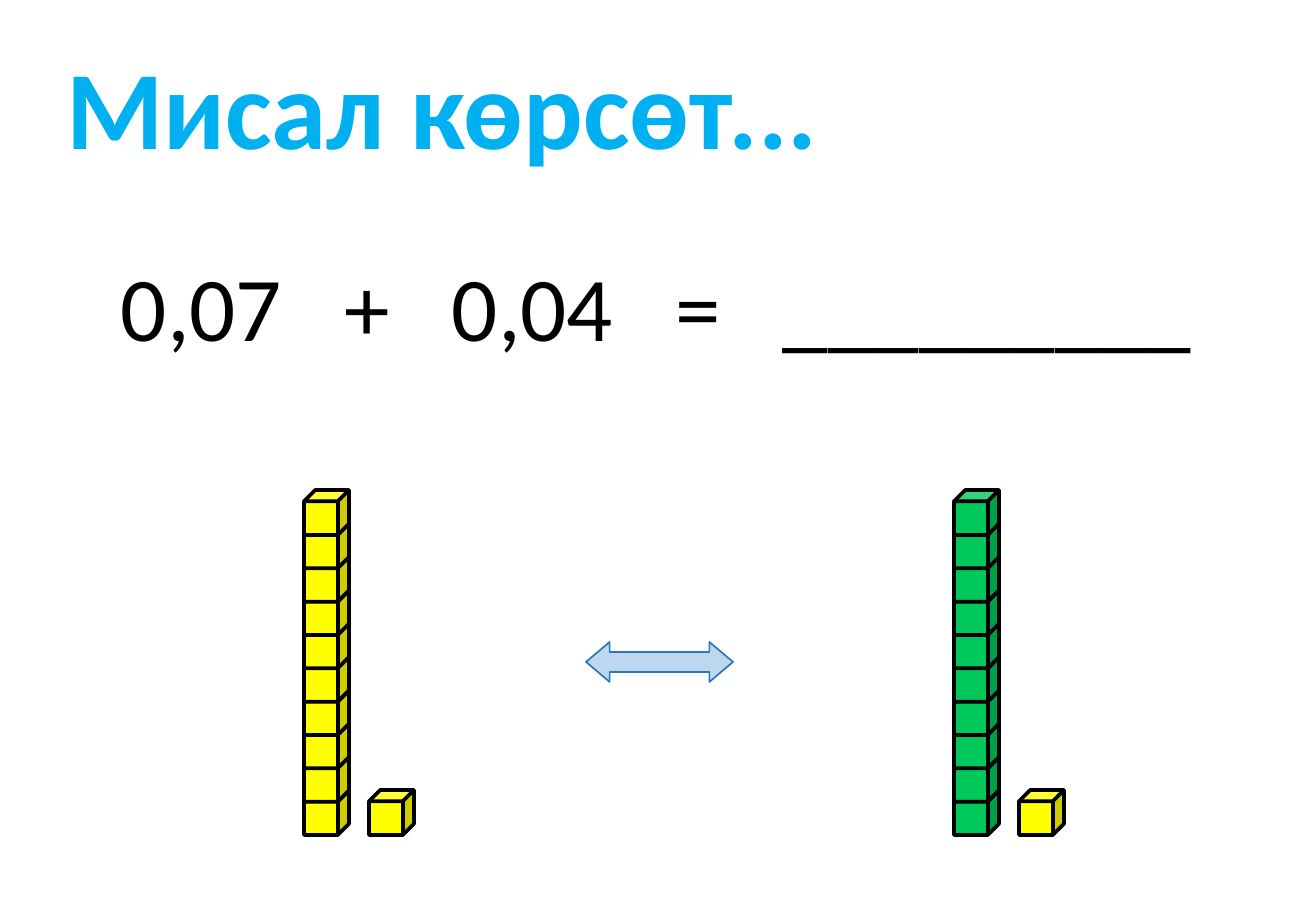
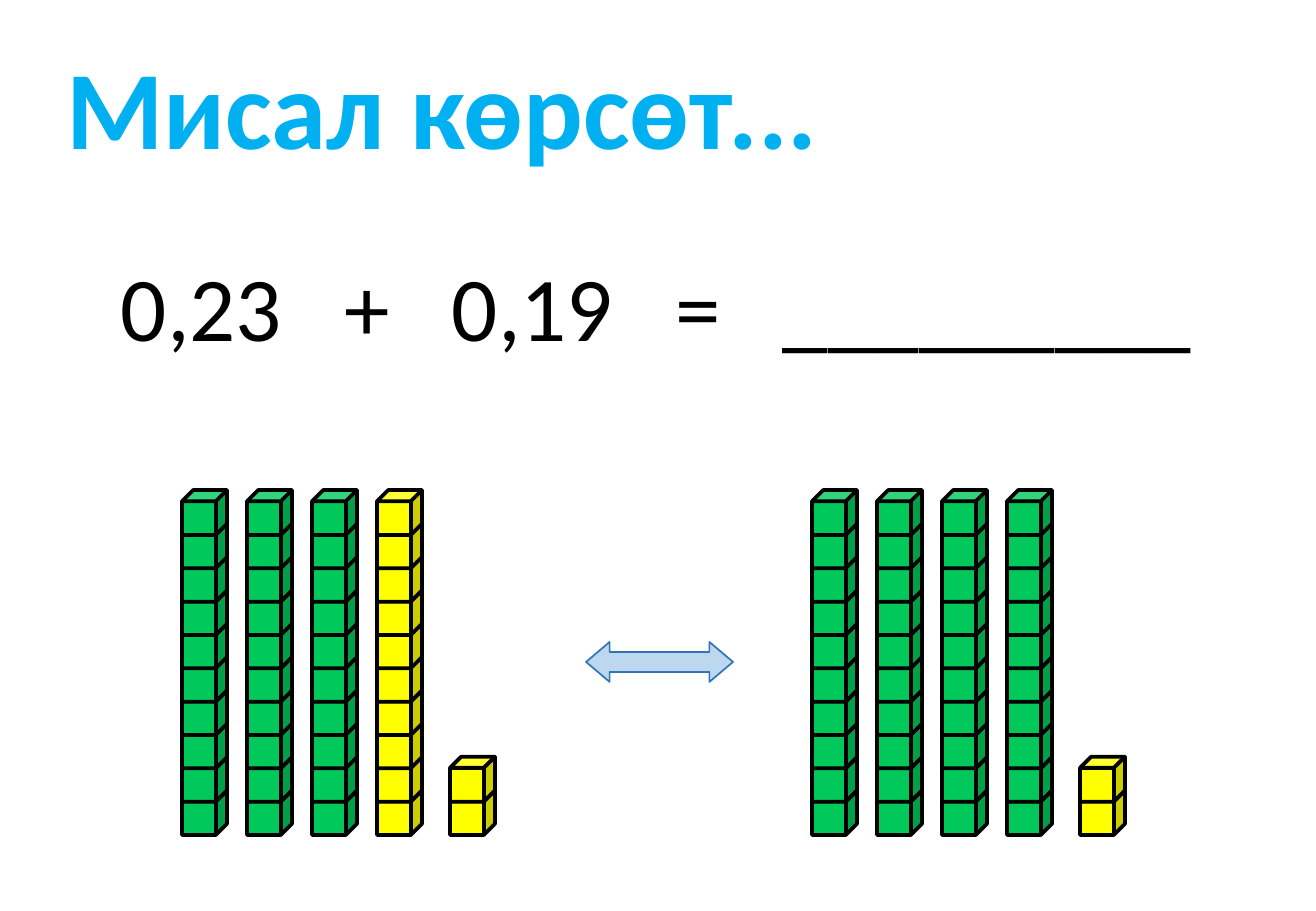
from lxml import etree
from pptx import Presentation
from pptx.dml.color import RGBColor
from pptx.enum.shapes import MSO_SHAPE
from pptx.enum.text import MSO_ANCHOR, MSO_AUTO_SIZE, PP_ALIGN
from pptx.oxml.ns import qn
from pptx.util import Pt

CUBE, ARROW = MSO_SHAPE.CUBE, MSO_SHAPE.LEFT_RIGHT_ARROW
TOP, NO_FIT, LEFT = MSO_ANCHOR.TOP, MSO_AUTO_SIZE.NONE, PP_ALIGN.LEFT

# Shared style
FONT = "Calibri"
TITLE_BLUE = RGBColor(0x00, 0xB0, 0xF0)
BLACK = RGBColor(0x00, 0x00, 0x00)
GREEN = RGBColor(0x00, 0xC8, 0x5A)
YELLOW = RGBColor(0xFF, 0xFF, 0x00)
ARROW_FILL = RGBColor(0xBD, 0xD7, 0xEE)
ARROW_LINE = RGBColor(0x2E, 0x75, 0xB6)

# Lengths in px
PX_PER_INCH = 121.5
SLIDE_W, SLIDE_H = 1316, 911
TITLE_BOX = (54, 32, 891, 147)
EQUATION_BOX = (109, 244, 1120, 123)
ARROW_BOX = (586, 642, 147, 40)
EQUATION_TABS = (224, 331, 555, 662)
BLOCKS_TOP, BLOCKS_H = 490, 345
CUBE_SIZE, ROD_PITCH, ROD_CUBES = 45, 65, 10
CUBE_STEP = (BLOCKS_H - CUBE_SIZE) / (ROD_CUBES - 1)

TITLE = "Мисал көрсөт..."


def px(n):
    return round(n * 914400 / PX_PER_INCH)


def box_emu(box):
    return [px(n) for n in box]


def write(shape, text, size, color, bold=False, tabs=()):
    tf = shape.text_frame
    tf.word_wrap = True
    tf.auto_size = NO_FIT
    tf.vertical_anchor = TOP
    p = tf.paragraphs[0]
    p.alignment = LEFT
    if tabs:
        tab_list = etree.SubElement(p._p.get_or_add_pPr(), qn("a:tabLst"))
        for pos in tabs:
            etree.SubElement(tab_list, qn("a:tab"), pos=str(px(pos)), algn="l")
    r = p.add_run()
    r.text = text
    r.font.name, r.font.size, r.font.bold = FONT, Pt(size), bold
    r.font.color.rgb = color


def add_figure(shapes, kind, box, fill, line, width):
    s = shapes.add_shape(kind, *box_emu(box))
    s.shadow.inherit = False
    s.fill.solid()
    s.fill.fore_color.rgb = fill
    s.line.color.rgb = line
    s.line.width = Pt(width)
    return s


def add_stack(slide, x, count, fill):
    """Cubes piled from the floor up, so each one overlaps the one below."""
    group = slide.shapes.add_group_shape()
    floor = BLOCKS_TOP + BLOCKS_H - CUBE_SIZE
    for i in range(count):
        box = (x, floor - i * CUBE_STEP, CUBE_SIZE, CUBE_SIZE)
        add_figure(group.shapes, CUBE, box, fill, BLACK, 2.25)


def add_blocks(slide, x, rods, ones, ones_gap):
    """Rods of ten at an equal pitch, then the loose ones."""
    for i, fill in enumerate(rods):
        add_stack(slide, x + i * ROD_PITCH, ROD_CUBES, fill)
    ones_x = x + (len(rods) - 1) * ROD_PITCH + CUBE_SIZE + ones_gap
    add_stack(slide, ones_x, ones, YELLOW)


def add_arrow(slide, box):
    s = add_figure(slide.shapes, ARROW, box, ARROW_FILL, ARROW_LINE, 1)
    s.adjustments[0], s.adjustments[1] = 0.5, 0.59


def add_sum_slide(prs, terms, left, right, ones, ones_gap):
    slide = prs.slides.add_slide(prs.slide_layouts[5])
    # Title
    title = slide.shapes.title
    title.left, title.top, title.width, title.height = box_emu(TITLE_BOX)
    write(title, TITLE, 66, TITLE_BLUE, bold=True)
    # Equation
    equation = slide.shapes.add_textbox(*box_emu(EQUATION_BOX))
    parts = (terms[0], "+", terms[1], "=", "_" * 9)
    write(equation, "\t".join(parts), 54, BLACK, tabs=EQUATION_TABS)
    # Equal amounts on both sides of the arrow
    for x, rods in (left, right):
        add_blocks(slide, x, rods, ones, ones_gap)
    add_arrow(slide, ARROW_BOX)


def main():
    prs = Presentation()
    prs.slide_width, prs.slide_height = px(SLIDE_W), px(SLIDE_H)
    add_sum_slide(prs, ("0,07", "0,04"), (304, [YELLOW]), (954, [GREEN]),
                  ones=1, ones_gap=20)
    add_sum_slide(prs, ("0,23", "0,19"), (182, [GREEN] * 3 + [YELLOW]),
                  (812, [GREEN] * 4), ones=2, ones_gap=28)
    prs.save("out.pptx")


if __name__ == "__main__":
    main()
